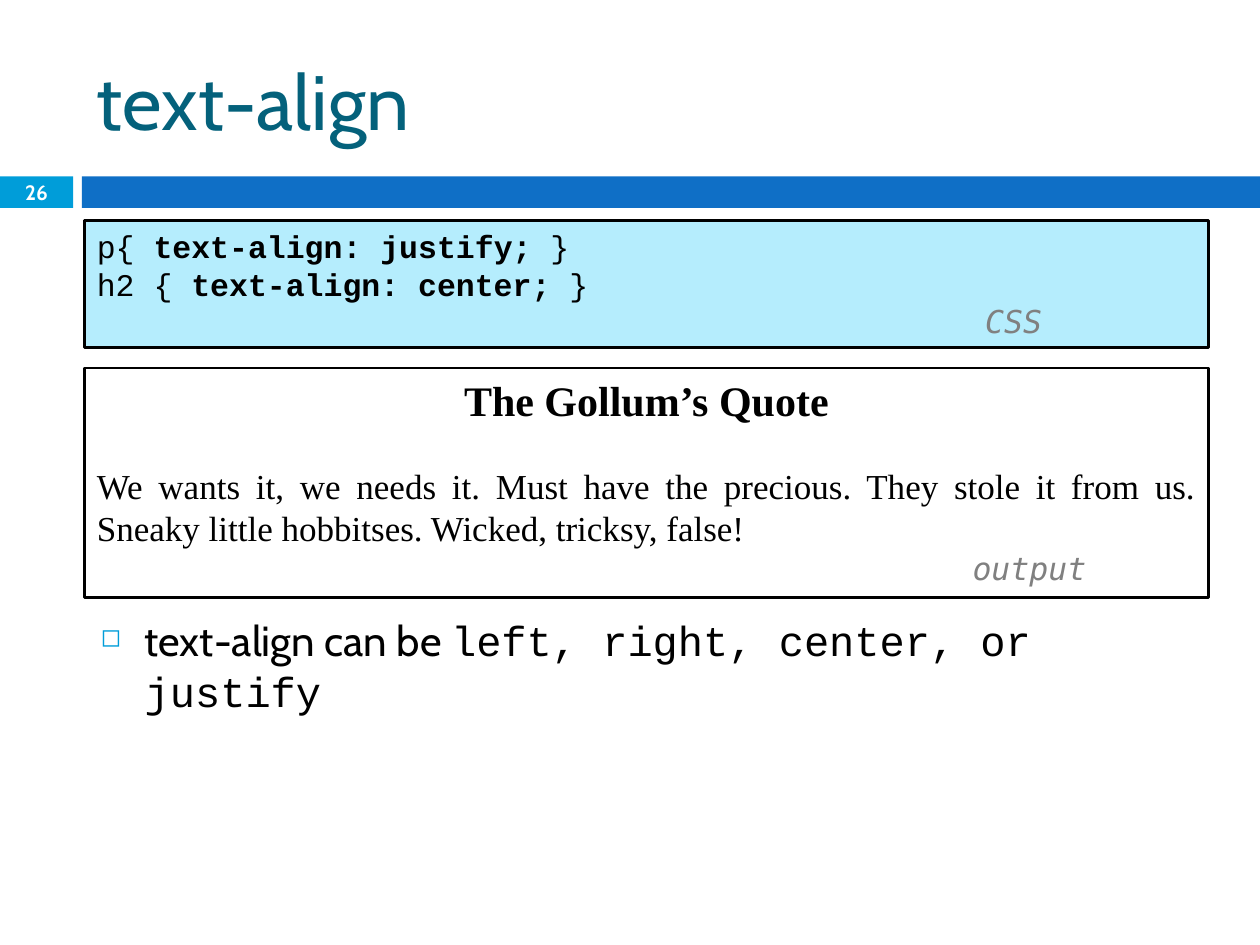
from lxml.etree import SubElement
from pptx import Presentation
from pptx.dml.color import RGBColor
from pptx.enum.shapes import MSO_SHAPE as Shape
from pptx.enum.text import MSO_ANCHOR as Anchor, PP_ALIGN as Align
from pptx.oxml.ns import qn
from pptx.util import Inches, Pt

SANS, CODE, SERIF, LABEL = "Cabin", "Courier New", "Times New Roman", "DejaVu Sans Mono"
BLACK, WHITE, GREY, CYAN = "000000", "FFFFFF", "808080", "009DD9"


def color(value):
    """Return the colour of a hex string."""
    return RGBColor.from_string(value)


def style(font, face, size, tint=BLACK, bold=False, italic=False):
    """Set face, size, colour and weight of a font."""
    font.name, font.size, font.bold, font.italic = face, Pt(size), bold, italic
    font.color.rgb = color(tint)


def panel(slide, box, fill, line=None, anchor=Anchor.TOP):
    """Draw a filled rectangle and return its text frame."""
    rect = slide.shapes.add_shape(Shape.RECTANGLE, *map(Inches, box))
    rect.shadow.inherit = False
    rect.fill.solid()
    rect.fill.fore_color.rgb = color(fill)
    if line:
        rect.line.color.rgb = color(line)
        rect.line.width = Pt(1.5)
    else:
        rect.line.fill.background()
    rect.text_frame.word_wrap = True
    rect.text_frame.vertical_anchor = anchor
    return rect.text_frame


def text_area(slide, box, anchor=Anchor.TOP):
    """Add a wrapping text box and return its frame."""
    frame = slide.shapes.add_textbox(*map(Inches, box)).text_frame
    frame.word_wrap = True
    frame.vertical_anchor = anchor
    return frame


def corner_label(frame, text, indent):
    """Append the grey label that names a panel."""
    label = frame.add_paragraph()
    label.alignment = Align.LEFT
    label.text = text
    label._p.get_or_add_pPr().set("marL", str(Inches(indent)))
    style(label.font, LABEL, 18, GREY, italic=True)


def header(slide, box, title, number):
    """Place the title above the numbered band."""
    left, top, width, height = box
    heading = text_area(slide, (left + 0.67, top + 0.25, 8.92, 1.08), Anchor.MIDDLE).paragraphs[0]
    heading.text = title
    style(heading.font, SANS, 44, "04617B")
    band_top, band_height, number_width, band_left = top + height - 0.25, 0.25, 0.58, 0.65
    panel(slide, (left + band_left, band_top, width - band_left, band_height), "0F6FC6")
    counter = panel(slide, (left, band_top, number_width, band_height), CYAN, anchor=Anchor.MIDDLE)
    counter.margin_top = counter.margin_bottom = 0
    page = counter.paragraphs[0]
    page.text, page.alignment = number, Align.CENTER
    style(page.font, SANS, 11.9, WHITE, bold=True)


def css_panel(slide, box, rules):
    """List CSS rules with their declarations in bold."""
    frame = panel(slide, box, "B5EDFD", BLACK)
    for index, (selector, declaration) in enumerate(rules):
        rule = frame.add_paragraph() if index else frame.paragraphs[0]
        rule.alignment = Align.LEFT
        style(rule.font, CODE, 18)
        for part, bold in ((selector + "{ ", False), (declaration + " ", True), ("}", False)):
            run = rule.add_run()
            run.text = part
            style(run.font, CODE, 18, bold=bold)
    corner_label(frame, "CSS", 7.05)


def output_panel(slide, box, heading, quote):
    """Show the rendered heading and justified quote."""
    frame = panel(slide, box, WHITE, BLACK)
    title = frame.paragraphs[0]
    title.text, title.alignment, title.space_after = heading, Align.CENTER, Pt(23)
    style(title.font, SERIF, 24, bold=True)
    body = frame.add_paragraph()
    body.text, body.alignment = quote, Align.JUSTIFY
    style(body.font, SERIF, 20)
    corner_label(frame, "output", 6.95)


def bullet_note(slide, box, lead, values):
    """Add the bulleted remark with its values in code type."""
    note = text_area(slide, box).paragraphs[0]
    note.space_before = Pt(7)
    for part, face in ((lead, SANS), (values, CODE)):
        run = note.add_run()
        run.text = part
        style(run.font, face, 24)
    props = note._p.get_or_add_pPr()
    props.set("marL", str(Inches(0.35)))
    props.set("indent", str(-Inches(0.35)))
    SubElement(SubElement(props, qn("a:buClr")), qn("a:srgbClr"), val=CYAN)
    SubElement(props, qn("a:buSzPct"), val="60000")
    SubElement(props, qn("a:buChar"), char="◻")


def main():
    """Build and save the slide."""
    deck = Presentation()
    deck.slide_width, deck.slide_height = Inches(10), Inches(7.5)
    slide = deck.slides.add_slide(deck.slide_layouts[6])
    left, width = 0.67, 8.92
    header(slide, (0, 0, 10, 1.65), "text-align", "26")
    css_panel(slide, (left, 1.75, width, 1.01),
              [("p", "text-align: justify;"), ("h2 ", "text-align: center;")])
    output_panel(slide, (left, 2.92, width, 1.82), "The Gollum’s Quote",
                 "We wants it, we needs it. Must have the precious. They stole it from us. "
                 "Sneaky little hobbitses. Wicked, tricksy, false!")
    bullet_note(slide, (0.7, 4.83, width, 1.67),
                "text-align can be ", "left, right, center, or justify")
    deck.save("out.pptx")


main()
